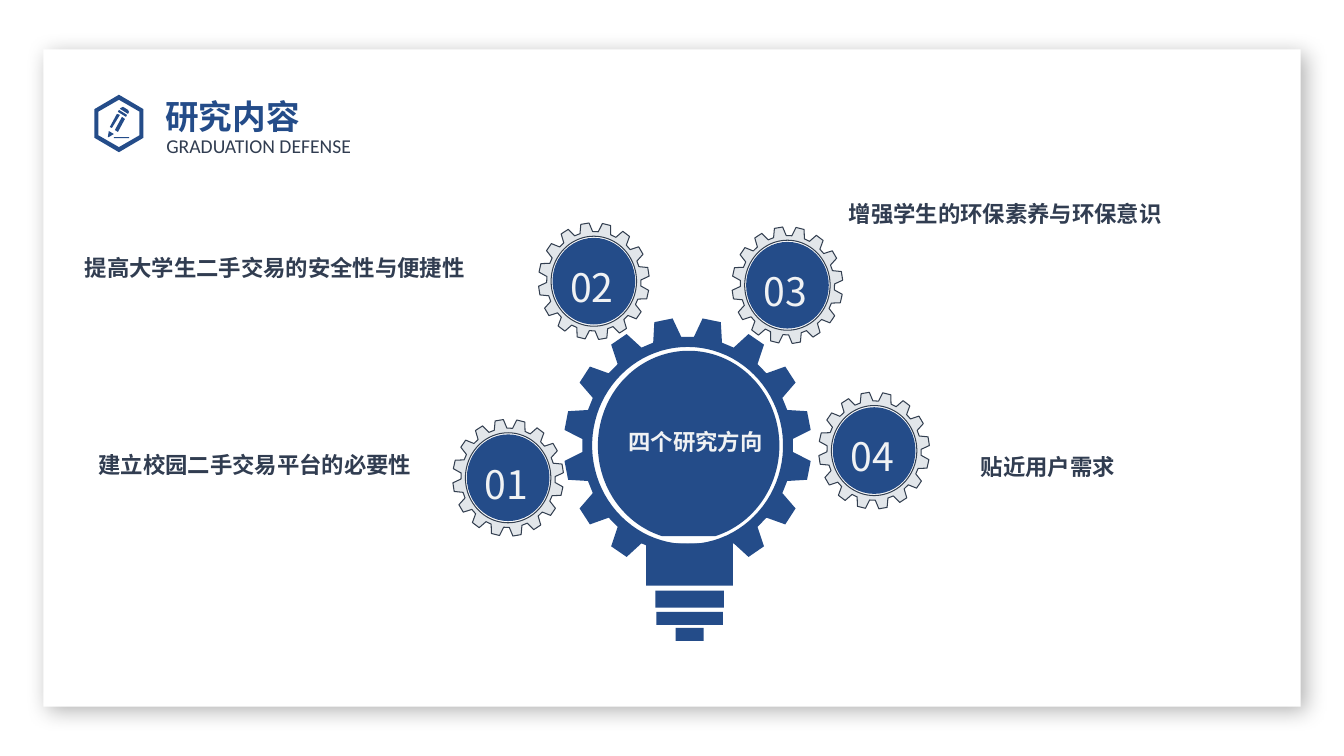
import math
from lxml import etree
from pptx import Presentation
from pptx import util as u
from pptx.dml.color import RGBColor
from pptx.enum import shapes, text
from pptx.oxml.ns import qn

PX = 9144  # 100 px to the inch
COLORS = {"white": "FFFFFF", "blue": "244C89", "ink": "313D51",
          "gear": "E2E6EA", "edge": "333F50", "light": "F0F2F4", "shadow": "000000"}
CJK = "Noto Sans CJK SC"
LEFT, CENTER, RIGHT = text.PP_ALIGN.LEFT, text.PP_ALIGN.CENTER, text.PP_ALIGN.RIGHT
TEETH = 16


def px(*values):
    return [u.Emu(round(v * PX)) for v in values]


def rgb(name):
    return RGBColor.from_string(COLORS[name])


def paint(sp, fill, line=None):
    sp.shadow.inherit = False
    sp.fill.solid()
    sp.fill.fore_color.rgb = rgb(fill)
    if line:
        sp.line.color.rgb = rgb(line)
        sp.line.width = u.Pt(0.75)
    else:
        sp.line.fill.background()
    return sp


def preset(s, kind, box, fill):
    return paint(s.shapes.add_shape(kind, *px(*box)), fill)


def outline(s, contours, fill, line=None):
    """One freeform made of closed contours; inner ones cut holes."""
    fb = None
    for first, *rest in contours:
        if fb is None:
            fb = s.shapes.build_freeform(*px(*first), scale=1.0)
        else:
            fb.move_to(*px(*first))
        fb.add_line_segments([px(*pt) for pt in rest], close=True)
    return paint(fb.convert_to_shape(), fill, line)


def write(sp, words, size, color, font=CJK, bold=False, align=LEFT,
          insets=(0, 0, 0, 0), spacing=1.2, wrap=True, grow=True):
    tf = sp.text_frame
    fit = text.MSO_AUTO_SIZE.SHAPE_TO_FIT_TEXT if grow else text.MSO_AUTO_SIZE.NONE
    frame = dict(zip(("margin_left", "margin_top", "margin_right", "margin_bottom"),
                     px(*insets)))
    frame.update(word_wrap=wrap, auto_size=fit, vertical_anchor=text.MSO_ANCHOR.TOP)
    for key, value in frame.items():
        setattr(tf, key, value)
    p = tf.paragraphs[0]
    p.alignment, p.line_spacing = align, spacing
    r = p.add_run()
    r.text = words
    for key, value in {"size": u.Pt(size), "bold": bold, "name": font}.items():
        setattr(r.font, key, value)
    r.font.color.rgb = rgb(color)
    etree.SubElement(r._r.get_or_add_rPr(), qn("a:ea"), typeface=CJK)


def label(s, box, words, size, color, **fmt):
    write(s.shapes.add_textbox(*px(*box)), words, size, color, **fmt)


def polar(cx, cy, rx, ry, degrees):
    """Points on an ellipse, angles clockwise from the top."""
    return [(cx + rx * math.sin(math.radians(a)), cy - ry * math.cos(math.radians(a)))
            for a in degrees]


def gear(s, cx, cy, rx, ry, turn, fill, line=None):
    rim = []
    for i in range(TEETH):
        mid = turn + (i + 0.5) * 360 / TEETH
        for offset, ratio in ((-7.8, 0.85), (-4.3, 1), (4.3, 1), (7.8, 0.85)):
            rim += polar(cx, cy, rx * ratio, ry * ratio, [mid + offset])
    hole = polar(cx, cy, rx * 0.77, ry * 0.77, range(360, 0, -4))
    outline(s, [rim, hole], fill, line)


def card(s, box):
    sp = preset(s, shapes.MSO_SHAPE.RECTANGLE, box, "white")
    effects = sp._element.spPr.find(qn("a:effectLst"))
    shadow = etree.SubElement(effects, qn("a:outerShdw"), blurRad=str(u.Pt(15)),
                              dist=str(u.Pt(5)), dir="2700000", algn="tl", rotWithShape="0")
    color = etree.SubElement(shadow, qn("a:srgbClr"), val=COLORS["shadow"])
    etree.SubElement(color, qn("a:alpha"), val="30000")
    s.shapes.title._element.addprevious(sp._element)  # keep the card behind the title


def header(s, x, y):
    # Pencil in a hexagon
    cx, cy = x + 24, y + 28.5
    hexagons = [polar(cx, cy, rx, ry, range(0, 360, 60)) for rx, ry in ((28, 28.5), (23.5, 23.5))]
    pencil = [[(19, 42), (34, 42), (34, 43), (19, 43)],
              [(20, 35), (27, 22), (30, 24), (23, 37)],
              [(15, 32), (22, 19), (25, 20), (17, 33)],
              [(13, 42), (14, 36), (19, 39), (14, 42)],
              [(24, 15), (23, 17), (31, 22), (32, 20)],
              [(26, 13), (28, 12), (33, 15), (34, 17), (33, 19), (25, 14)]]
    outline(s, hexagons + [[(x + a, y + b) for a, b in part] for part in pencil], "blue")
    # Title and subtitle
    title = s.shapes.title
    for key, value in zip(("left", "top", "width", "height"), px(x + 60, y - 12, 397, 50)):
        setattr(title, key, value)
    write(title, "研究内容", 24, "blue", font="Roboto", bold=True,
          insets=(10, 5, 10, 5), grow=False)
    label(s, (x + 71, y + 30, 217, 34), "GRADUATION DEFENSE", 14, "ink", font="Calibri",
          insets=(0, 0, 0, 5), spacing=u.Pt(23))


def bulb(s, cx, cy):
    gear(s, cx, cy, 123, 127, 0, "blue")
    # Screw base, from the neck down
    for dx, dy, w, h in ((-41, 97, 86, 42), (-32, 144, 68, 17),
                         (-31, 165, 66, 13), (-12, 181, 28, 13)):
        preset(s, shapes.MSO_SHAPE.RECTANGLE, (cx + dx, cy + dy, w, h), "blue")
    # Glass with a flat bottom
    outline(s, [polar(cx + 1, cy, 90, 94, range(-163, 164, 2))], "blue")
    label(s, (cx - 75, cy - 28, 166, 41), "四个研究方向", 16, "light", bold=True,
          align=CENTER, insets=(10, 5, 10, 5))


def numbered_gear(s, cx, cy, number):
    gear(s, cx, cy, 55, 58, 2, "gear", "edge")
    preset(s, shapes.MSO_SHAPE.OVAL, (cx - 41, cy - 43, 82, 86), "blue")
    label(s, (cx - 35, cy - 32, 66, 64), number, 28, "light", align=CENTER,
          insets=(10, 5, 10, 5), wrap=False)


def main():
    prs = Presentation()
    prs.slide_width, prs.slide_height = px(1333, 750)
    s = prs.slides.add_slide(prs.slide_layouts[5])
    card(s, (43, 49, 1247, 652))
    header(s, 94, 94)
    bulb(s, 682, 442)
    # Research directions: gear centre, caption box, alignment
    directions = [
        (504, 474, (92, 442, 316, 30), RIGHT, "建立校园二手交易平台的必要性"),
        (589, 279, (79, 247, 382, 30), RIGHT, "提高大学生二手交易的安全性与便捷性"),
        (781, 283, (842, 193, 346, 30), LEFT, "增强学生的环保素养与环保意识"),
        (867, 447, (973, 444, 246, 30), LEFT, "贴近用户需求"),
    ]
    for i, (cx, cy, box, align, words) in enumerate(directions, 1):
        numbered_gear(s, cx, cy, f"{i:02}")
        label(s, box, words, 16, "ink", bold=True, align=align)
    prs.save("out.pptx")


if __name__ == "__main__":
    main()
